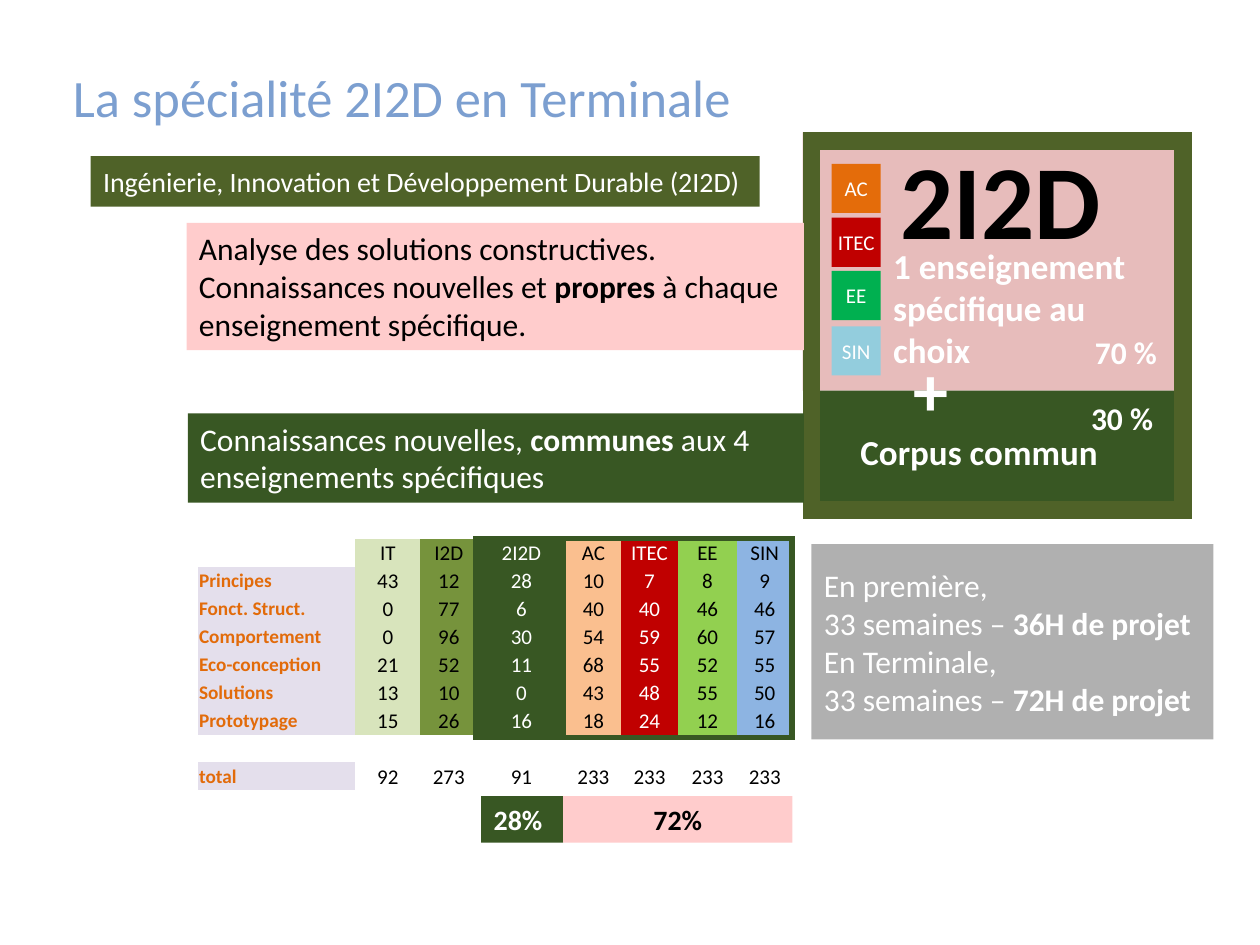
"""Build the slide about the 2I2D speciality in Terminale."""
import pptx
import pptx.dml.color
import pptx.enum.shapes
import pptx.enum.text
import pptx.oxml
import pptx.oxml.ns
import pptx.util

Pt = pptx.util.Pt
ALIGN = pptx.enum.text.PP_ALIGN
ANCHOR = pptx.enum.text.MSO_ANCHOR
NO_GRID_STYLE = "{2D5ABB26-0587-4C30-8999-92F81FD0307C}"
COLORS = {
    "title": "7C9FD0", "white": "FFFFFF", "black": "000000",
    "rose": "D99694", "pink": "FFCCCC", "forest": "385723", "olive": "4F6228",
    "orange": "E46C0A", "red": "C00000", "green": "00B050", "sky": "93CDDD",
    "label": "E26B0A", "lilac": "E4DFEC", "pale": "D8E4BC", "moss": "76933C",
    "peach": "FABF8F", "lime": "92D050", "blue": "8DB4E2",
}
COLUMNS = [
    ("", 90, "lilac", "label"), ("IT", 37.3, "pale", "black"),
    ("I2D", 32.4, "moss", "black"), ("2I2D", 50.6, "forest", "white"),
    ("AC", 31.7, "peach", "black"), ("ITEC", 32.4, "red", "white"),
    ("EE", 33.9, "lime", "black"), ("SIN", 31.5, "blue", "black"),
]
ROWS = [
    ["Principes", 43, 12, 28, 10, 7, 8, 9],
    ["Fonct. Struct.", 0, 77, 6, 40, 40, 46, 46],
    ["Comportement", 0, 96, 30, 54, 59, 60, 57],
    ["Eco-conception", 21, 52, 11, 68, 55, 52, 55],
    ["Solutions", 13, 10, 0, 43, 48, 55, 50],
    ["Prototypage", 15, 26, 16, 18, 24, 12, 16],
    [""] * 8,
    ["total", 92, 273, 91, 233, 233, 233, 233],
]


def rgb(name):
    """Return the named colour."""
    return pptx.dml.color.RGBColor.from_string(COLORS[name])


def make_element(tag, **attributes):
    """Create a DrawingML element."""
    element = pptx.oxml.parse_xml(f"<a:{tag} {pptx.oxml.ns.nsdecls('a')}/>")
    for key, value in attributes.items():
        element.set(key, value)
    return element


def style_font(font, size, color, bold):
    """Apply the slide typeface to a font."""
    font.name, font.size, font.bold = "Calibri", Pt(size), bold
    font.color.rgb = rgb(color)


def write(shape, lines, size, color, bold=False, align=ALIGN.LEFT,
          anchor=ANCHOR.TOP, wrap=True, margin=None):
    """Fill a shape with lines in which asterisks enclose bold words."""
    frame = shape.text_frame
    frame.word_wrap, frame.vertical_anchor = wrap, anchor
    if margin is not None:
        frame.margin_left = frame.margin_right = Pt(margin)
        frame.margin_top = frame.margin_bottom = Pt(margin)
    for index, line in enumerate(lines):
        paragraph = frame.paragraphs[0] if index == 0 else frame.add_paragraph()
        paragraph.alignment = align
        for position, words in enumerate(line.split("*")):
            if words:
                run = paragraph.add_run()
                run.text = words
                style_font(run.font, size, color, bold or position % 2 == 1)


def add_text(slide, box, lines, size, color, **options):
    """Add a text box."""
    shape = slide.shapes.add_textbox(*map(Pt, box))
    write(shape, lines, size, color, **options)
    return shape


def add_block(slide, box, fill, opacity=None):
    """Add a filled rectangle without outline."""
    shape = slide.shapes.add_shape(
        pptx.enum.shapes.MSO_SHAPE.RECTANGLE, *map(Pt, box))
    shape.shadow.inherit = False
    shape.line.fill.background()
    shape.fill.solid()
    shape.fill.fore_color.rgb = rgb(fill)
    if opacity:
        color = shape.fill._xPr.find(".//" + pptx.oxml.ns.qn("a:srgbClr"))
        color.append(make_element("alpha", val=str(opacity * 1000)))
    return shape


def add_frame(slide, box, color, width):
    """Add an unfilled rectangle with sharp corners."""
    shape = add_block(slide, box, color)
    shape.fill.background()
    shape.line.color.rgb = rgb(color)
    shape.line.width = Pt(width)
    shape.line._ln.append(make_element("miter", lim="800000"))


def fill_cell(cell, value, fill, color, is_label):
    """Write and colour one table cell."""
    cell.margin_left = cell.margin_right = cell.margin_top = Pt(0.75)
    cell.margin_bottom = 0
    cell.vertical_anchor = ANCHOR.MIDDLE
    if fill:
        cell.fill.solid()
        cell.fill.fore_color.rgb = rgb(fill)
    else:
        cell.fill.background()
    paragraph = cell.text_frame.paragraphs[0]
    paragraph.text = str(value)
    paragraph.alignment = ALIGN.LEFT if is_label else ALIGN.CENTER
    for run in paragraph.runs:
        style_font(run.font, 11 if is_label else 12, color, is_label)
    if value == "":
        paragraph._p.append(make_element("endParaRPr", sz="1200"))


def add_hours_table(slide):
    """Add the table of hours by theme and teaching."""
    rows = [[column[0] for column in COLUMNS]] + ROWS
    table = slide.shapes.add_table(
        len(rows), len(COLUMNS), Pt(113), Pt(307.8), Pt(339.8), Pt(144)).table
    table.first_row = table.horz_banding = False
    table._tbl.tblPr.find(pptx.oxml.ns.qn("a:tableStyleId")).text = NO_GRID_STYLE
    for column, (_, width, _, _) in zip(table.columns, COLUMNS):
        column.width = Pt(width)
    for row_index, values in enumerate(rows):
        table.rows[row_index].height = Pt(16)
        is_total = values[0] == "total"
        for index, value in enumerate(values):
            _, _, fill, color = COLUMNS[index]
            if is_total and index:
                fill, color = None, "black"
            fill_cell(table.cell(row_index, index), value,
                      None if value == "" else fill, color, index == 0)


def add_speciality_panel(slide):
    """Add the framed panel with the specific teaching and the common core."""
    add_block(slide, (458.6, 75.6, 220.4, 147.6), "rose", 63)
    add_block(slide, (463.7, 223.2, 216, 73.4), "forest")
    add_text(slide, (507.6, 73.4, 130.3, 80), ["2I2D"], 60, "black",
             bold=True, wrap=False)
    add_text(slide, (484.6, 242.6, 151.2, 31.7), ["Corpus commun"], 20,
             "white", bold=True, wrap=False)
    add_text(slide, (503.3, 136.1, 147.6, 80),
             ["1 enseignement", "spécifique au choix"], 20, "white", bold=True)
    add_text(slide, (514.8, 194.4, 34.6, 55.4), ["+"], 40, "white",
             bold=True, wrap=False)
    add_frame(slide, (463.7, 80.6, 212.4, 211), "olive", 10)
    for left, top, share in [(612, 224.6, "30 %"), (614.2, 186.5, "70 %")]:
        add_text(slide, (left, top, 58.3, 28.8), [share], 18, "white",
                 bold=True, align=ALIGN.CENTER)
    badges = [("AC", 93.6, "orange"), ("ITEC", 124.4, "red"),
              ("EE", 154.8, "green"), ("SIN", 186.5, "sky")]
    for name, top, fill in badges:
        badge = add_block(slide, (475.2, top, 28.1, 28.1), fill)
        write(badge, [name], 12, "white", align=ALIGN.CENTER,
              anchor=ANCHOR.MIDDLE, margin=0)


def main():
    """Build and save the slide."""
    presentation = pptx.Presentation()
    presentation.slide_width, presentation.slide_height = Pt(720), Pt(540)
    slide = presentation.slides.add_slide(presentation.slide_layouts[6])
    title = add_text(slide, (34.6, 31.7, 650.2, 51.8),
                     ["La spécialité 2I2D en Terminale"], 30, "title",
                     anchor=ANCHOR.MIDDLE)
    title.text_frame.paragraphs[0].line_spacing = 0.9
    add_speciality_panel(slide)
    heading = add_block(slide, (51.8, 89.3, 382.3, 28.8), "olive")
    write(heading, ["Ingénierie, Innovation et Développement Durable\u00a0(2I2D)"],
          16, "white", anchor=ANCHOR.MIDDLE)
    specific = add_block(slide, (106.6, 127.4, 352.8, 72.7), "pink")
    write(specific, ["Analyse des solutions constructives.",
                     "Connaissances nouvelles et *propres* à chaque "
                     "enseignement spécifique."], 18, "black")
    common = add_block(slide, (107.3, 236.2, 352.1, 51), "forest")
    write(common, ["Connaissances nouvelles, *communes* aux 4 "
                   "enseignements spécifiques"], 18, "white")
    add_hours_table(slide)
    common_share = add_block(slide, (275, 455, 46.8, 26.6), "forest")
    write(common_share, ["28%"], 16, "white", bold=True)
    specific_share = add_block(slide, (321.8, 455, 131, 26.6), "pink")
    write(specific_share, ["72%"], 16, "black", bold=True, align=ALIGN.CENTER)
    add_frame(slide, (271.6, 307.8, 181, 113.6), "forest", 3)
    projects = add_block(slide, (463.7, 311, 229.7, 111.6), "black", 31)
    write(projects, ["En première,", "33 semaines – *36H de projet*",
                     "En Terminale,", "33 semaines – *72H de projet*"],
          18, "white", anchor=ANCHOR.MIDDLE)
    presentation.save("out.pptx")


if __name__ == "__main__":
    main()
